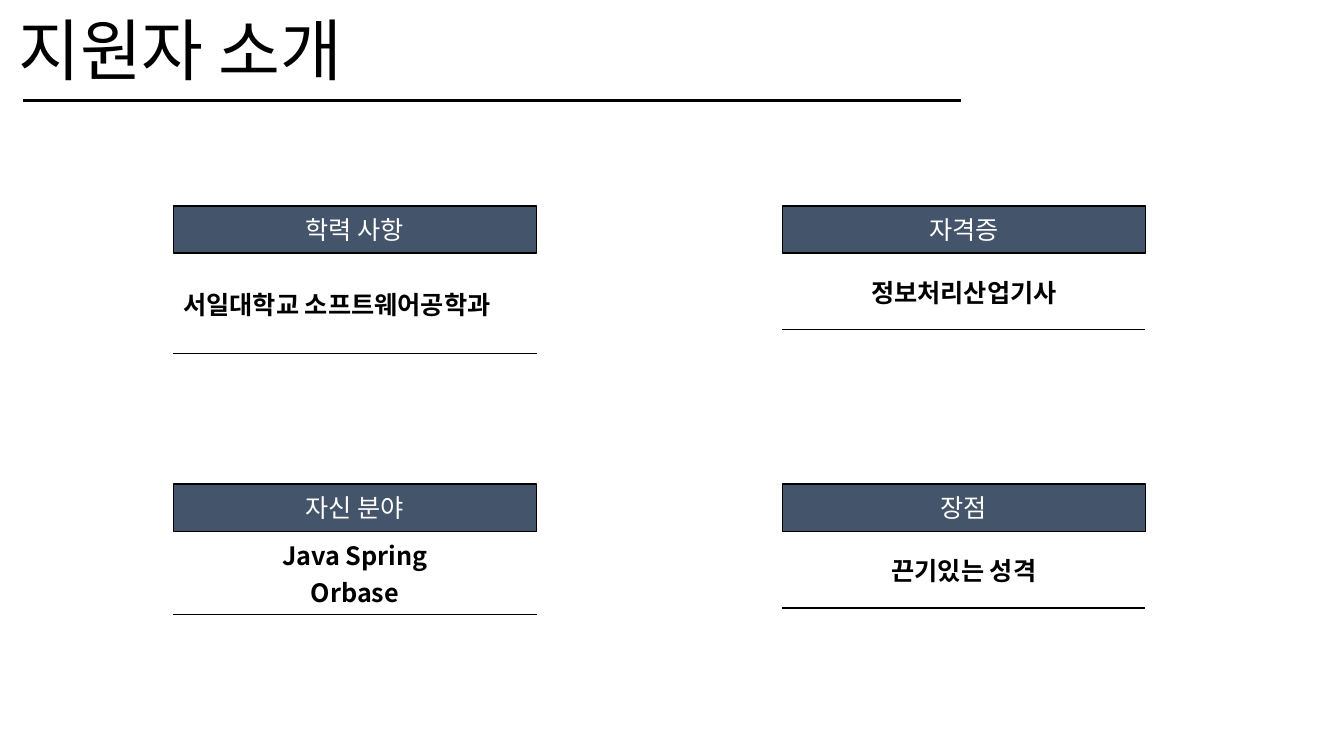
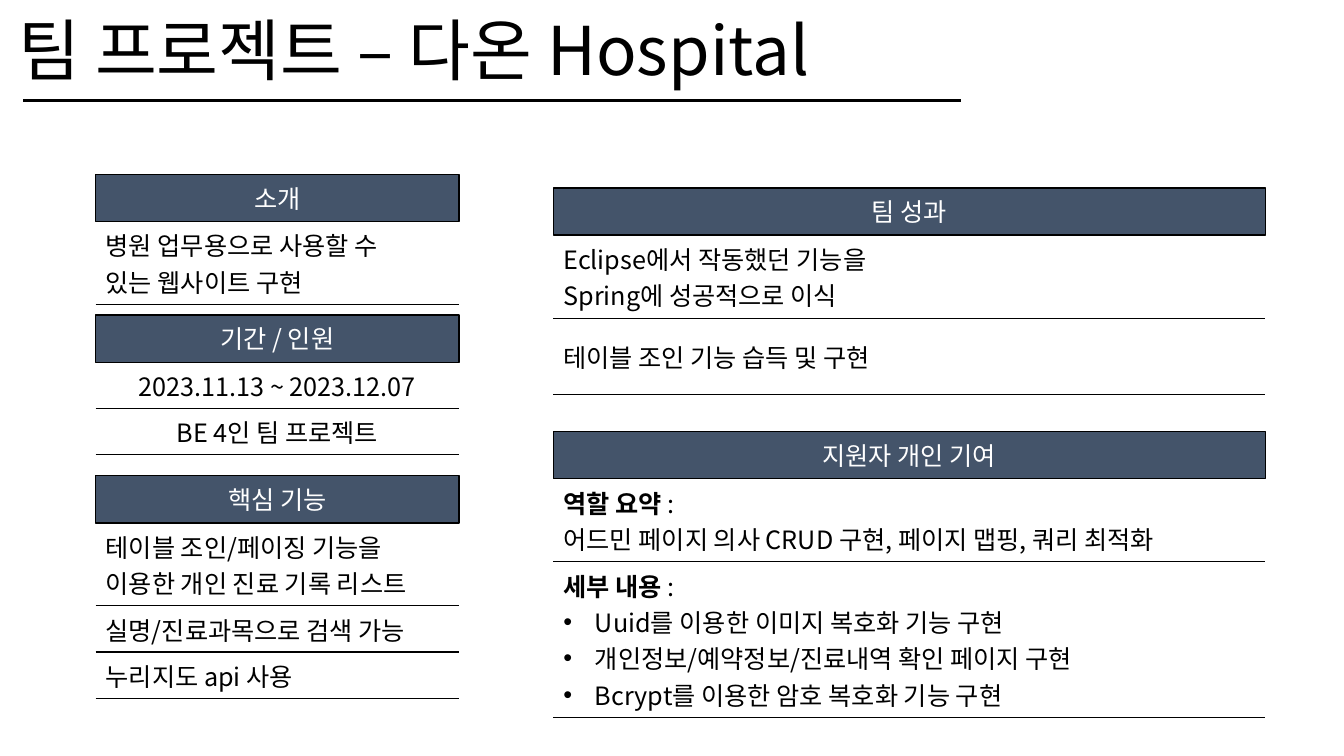
from lxml import etree
from pptx import Presentation
from pptx import util as u
from pptx.dml.color import RGBColor
from pptx.enum import shapes, text
from pptx.oxml import ns

PX = 9525  # EMU in one px, 96 px to the inch
FONT = "Noto Sans CJK KR"
COLORS = {"ink": "000000", "paper": "FFFFFF", "band": "44546A"}
LEFT, CENTER = text.PP_ALIGN.LEFT, text.PP_ALIGN.CENTER
BAND_H, ONE_LINE, TWO_LINES, TALL = 45, 44, 79, 73
BULLET = "• "


def px(*lengths):
    return [u.Emu(length * PX) for length in lengths]


def rgb(name):
    return RGBColor.from_string(COLORS[name])


def sub(parent, tag, **attributes):
    return etree.SubElement(parent, ns.qn(tag), **attributes)


def style_runs(paragraph, color="ink", size=18, bold=False):
    for run in paragraph.runs:
        run.font.size, run.font.bold = u.Pt(size), bold
        run.font.color.rgb = rgb(color)
        run.font.name = FONT
        sub(run.font._element, "a:ea", typeface=FONT)


# Title and rule, shared by both slides
def add_title(slide, title):
    box = slide.shapes.add_textbox(*px(8, 12, 1116, 93))
    box.text_frame.word_wrap = True
    box.text_frame.text = title
    heading = box.text_frame.paragraphs[0]
    heading.line_spacing = 0.9
    style_runs(heading, size=48)
    rule = slide.shapes.add_connector(
        shapes.MSO_CONNECTOR.STRAIGHT, *px(22, 96, 915, 96))
    rule.line.color.rgb = rgb("ink")
    rule.line.width = u.Pt(2.25)
    sub(rule._element.spPr, "a:effectLst")


def add_band(slide, left, top, width, heading):
    band = slide.shapes.add_shape(
        shapes.MSO_SHAPE.RECTANGLE, *px(left, top, width, BAND_H))
    band.shadow.inherit = False
    band.fill.solid()
    band.fill.fore_color.rgb = rgb("band")
    band.line.color.rgb = rgb("ink")
    band.line.width = u.Pt(1)
    band.text_frame.text = heading
    band.text_frame.vertical_anchor = text.MSO_ANCHOR.MIDDLE
    band.text_frame.paragraphs[0].alignment = CENTER
    style_runs(band.text_frame.paragraphs[0], "paper")


# Cells show only horizontal rules
def set_borders(cell, first_row):
    properties = cell._tc.get_or_add_tcPr()
    ruled = {"a:lnL": False, "a:lnR": False, "a:lnT": not first_row, "a:lnB": True}
    for position, (side, visible) in enumerate(ruled.items()):
        border = etree.Element(ns.qn(side), w=str(u.Pt(1)))
        if visible:
            sub(sub(border, "a:solidFill"), "a:srgbClr", val=COLORS["ink"])
        else:
            sub(border, "a:noFill")
        properties.insert(position, border)


def fill_paragraph(paragraph, content, align, bold):
    """content is a string, or a bold label with the plain text after it."""
    if isinstance(content, tuple):
        label, rest = content
        paragraph.text = label
        paragraph.add_run().text = rest
    else:
        paragraph.text = content.removeprefix(BULLET)
        if content.startswith(BULLET):
            properties = paragraph._p.get_or_add_pPr()
            properties.set("marL", str(30 * PX))
            properties.set("indent", str(-30 * PX))
            sub(properties, "a:buFont", typeface="Arial")
            sub(properties, "a:buChar", char=BULLET.strip())
    paragraph.alignment = align
    style_runs(paragraph, bold=bold)
    if isinstance(content, tuple):
        paragraph.runs[0].font.bold = True


# A headed block: ruled rows with a band on top
def add_block(slide, left, top, width, heading, rows, align=LEFT, bold=False):
    """rows holds (height, paragraphs) pairs."""
    total = sum(height for height, _ in rows)
    table = slide.shapes.add_table(
        len(rows), 1, *px(left, top + BAND_H, width, total)).table
    table.first_row = table.horz_banding = False
    for index, (height, paragraphs) in enumerate(rows):
        table.rows[index].height = px(height)[0]
        cell = table.cell(index, 0)
        cell.fill.solid()
        cell.fill.fore_color.rgb = rgb("paper")
        cell.vertical_anchor = text.MSO_ANCHOR.MIDDLE
        set_borders(cell, index == 0)
        frame = cell.text_frame
        for number, content in enumerate(paragraphs):
            paragraph = frame.add_paragraph() if number else frame.paragraphs[0]
            fill_paragraph(paragraph, content, align, bold)
    add_band(slide, left, top, width, heading)


def build_profile(slide):
    add_title(slide, "지원자 소개")
    facts = [
        ("학력 사항", 96, "서일대학교 소프트웨어공학과", LEFT),
        ("자격증", TALL, "정보처리산업기사", CENTER),
        ("자신 분야", TWO_LINES, "Java Spring\vOrbase", CENTER),
        ("장점", TALL, "끈기있는 성격", CENTER),
    ]
    for index, (heading, height, fact, align) in enumerate(facts):
        row, column = divmod(index, 2)
        add_block(slide, 165 + 580 * column, 196 + 265 * row, 346,
                  heading, [(height, [fact])], align, bold=True)


def build_project(slide):
    add_title(slide, "팀 프로젝트 – 다온 Hospital")
    # Left column: overview
    left, width = 91, 346
    add_block(slide, left, 166, width, "소개", [
        (TWO_LINES, ["병원 업무용으로 사용할 수\v있는 웹사이트 구현"])])
    add_block(slide, left, 300, width, "기간 / 인원", [
        (ONE_LINE, ["2023.11.13 ~ 2023.12.07"]),
        (ONE_LINE, ["BE 4인 팀 프로젝트"])], CENTER)
    add_block(slide, left, 453, width, "핵심 기능", [
        (TWO_LINES, ["테이블 조인/페이징 기능을\v이용한 개인 진료 기록 리스트"]),
        (ONE_LINE, ["실명/진료과목으로 검색 가능"]),
        (ONE_LINE, ["누리지도 api 사용"])])
    # Right column: results and contribution
    left, width = 527, 678
    add_block(slide, left, 179, width, "팀 성과", [
        (TWO_LINES, ["Eclipse에서 작동했던 기능을\vSpring에 성공적으로 이식"]),
        (TALL, ["테이블 조인 기능 습득 및 구현"])])
    add_block(slide, left, 411, width, "지원자 개인 기여", [
        (TWO_LINES, [("역할 요약 ", ":"),
                     "어드민 페이지 의사 CRUD 구현, 페이지 맵핑, 쿼리 최적화"]),
        (148, [("세부 내용 ", ":"),
               BULLET + "Uuid를 이용한 이미지 복호화 기능 구현",
               BULLET + "개인정보/예약정보/진료내역 확인 페이지 구현",
               BULLET + "Bcrypt를 이용한 암호 복호화 기능 구현"])])


def main():
    deck = Presentation()
    deck.slide_width, deck.slide_height = px(1280, 720)
    for build in (build_profile, build_project):
        build(deck.slides.add_slide(deck.slide_layouts[6]))
    deck.save("out.pptx")


if __name__ == "__main__":
    main()
